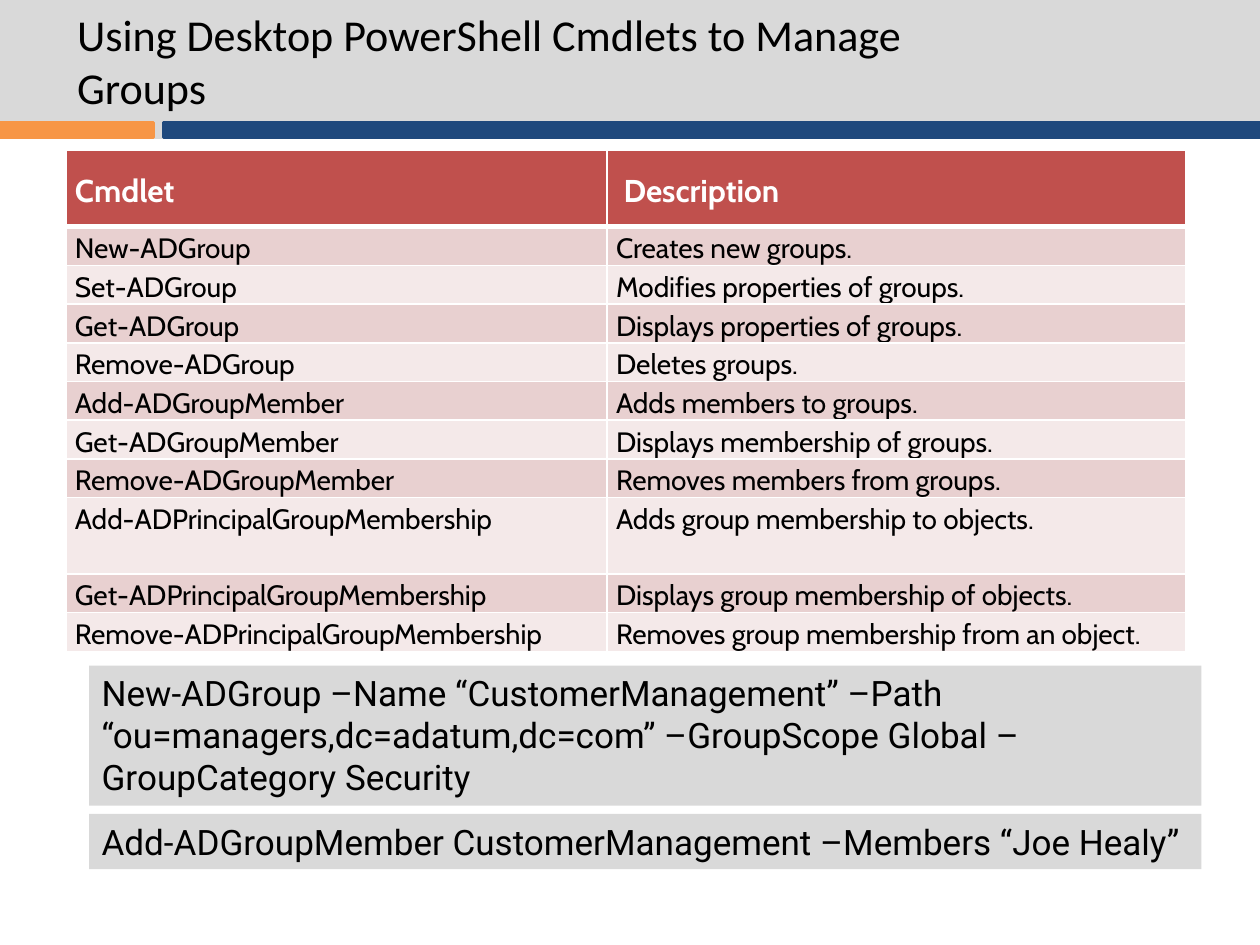
from lxml import etree
from pptx import Presentation
from pptx.dml.color import RGBColor
from pptx.enum.shapes import MSO_SHAPE
from pptx.enum.text import MSO_ANCHOR, MSO_AUTO_SIZE, PP_ALIGN
from pptx.oxml.ns import qn
from pptx.util import Cm, Pt

RECT = MSO_SHAPE.RECTANGLE
TOP, MIDDLE = MSO_ANCHOR.TOP, MSO_ANCHOR.MIDDLE
GROW, FIXED = MSO_AUTO_SIZE.SHAPE_TO_FIT_TEXT, MSO_AUTO_SIZE.NONE
LEFT = PP_ALIGN.LEFT

BLACK = RGBColor(0x00, 0x00, 0x00)
WHITE = RGBColor(0xFF, 0xFF, 0xFF)
GREY = RGBColor(0xD9, 0xD9, 0xD9)
ORANGE = RGBColor(0xF7, 0x96, 0x46)
NAVY = RGBColor(0x1F, 0x49, 0x7D)
RED = RGBColor(0xC0, 0x50, 0x4D)
ROSE = RGBColor(0xE8, 0xD0, 0xD0)
PALE = RGBColor(0xF4, 0xE9, 0xE9)

TITLE = "Using Desktop PowerShell Cmdlets to Manage Groups"
HEAD = ("Cmdlet", "Description")
CMDLETS = [
    ("New-ADGroup", "Creates new groups."),
    ("Set-ADGroup", "Modifies properties of groups."),
    ("Get-ADGroup", "Displays properties of groups."),
    ("Remove-ADGroup", "Deletes groups."),
    ("Add-ADGroupMember", "Adds members to groups."),
    ("Get-ADGroupMember", "Displays membership of groups."),
    ("Remove-ADGroupMember", "Removes members from groups."),
    ("Add-ADPrincipalGroupMembership", "Adds group membership to objects."),
    ("Get-ADPrincipalGroupMembership", "Displays group membership of objects."),
    ("Remove-ADPrincipalGroupMembership",
     "Removes group membership from an object."),
]
TALL_ROWS = (0, 8)
CREATE = ("New-ADGroup –Name “CustomerManagement” –Path "
          "“ou=managers,dc=adatum,dc=com” –GroupScope Global "
          "–GroupCategory Security")
ADD = "Add-ADGroupMember CustomerManagement –Members “Joe Healy”"


def set_font(par, name, size, color, bold=False):
    for run in par.runs:
        font = run.font
        font.name, font.size, font.bold = name, Pt(size), bold
        font.color.rgb = color


def add_rect(slide, x, y, w, h, fill, edge=False):
    rect = slide.shapes.add_shape(RECT, Cm(x), Cm(y), Cm(w), Cm(h))
    rect.shadow.inherit = False
    rect.fill.solid()
    rect.fill.fore_color.rgb = fill
    if edge:
        rect.line.color.rgb = fill
        rect.line.width = Pt(2)
    else:
        rect.line.fill.background()
    return rect


def add_header(slide, x, y, w, h):
    # Grey band with the two-colour strip along its lower edge
    strip, short, gap = 0.3, 3.1, 0.2
    low = y + h - strip
    start = short + gap
    add_rect(slide, x, y, w, h, GREY, True)
    add_rect(slide, x, low, short, strip, ORANGE, True)
    add_rect(slide, x + start, low, w - start, strip, NAVY, True)

    # Title, brought in front of the band
    title = slide.shapes.title
    title.left, title.top = Cm(x + 1.3), Cm(y + 0.1)
    title.width, title.height = Cm(18), Cm(2.24)
    frame = title.text_frame
    frame.text = TITLE
    frame.word_wrap = True
    frame.auto_size = FIXED
    frame.vertical_anchor = MIDDLE
    par = frame.paragraphs[0]
    par.alignment = LEFT
    set_font(par, "Calibri", 25.2, BLACK)
    slide.shapes._spTree.append(title._element)


def set_edges(cell, low):
    # Cell borders come before the fill in the cell's properties
    props = cell._tc.get_or_add_tcPr()
    widths = (("L", 1), ("R", 1), ("T", 1), ("B", low))
    for i, (side, width) in enumerate(widths):
        edge = etree.Element(qn("a:ln" + side), w=str(Pt(width)))
        fill = etree.SubElement(edge, qn("a:solidFill"))
        etree.SubElement(fill, qn("a:srgbClr"), val=str(WHITE))
        props.insert(i, edge)


def add_cmdlets(slide, x, y, widths, row, tall):
    rows = [HEAD] + CMDLETS
    heights = [tall if r in TALL_ROWS else row for r in range(len(rows))]
    table = slide.shapes.add_table(
        len(rows), len(widths), Cm(x), Cm(y),
        Cm(sum(widths)), Cm(sum(heights))).table
    for col, width in zip(table.columns, widths):
        col.width = Cm(width)
    for r, texts in enumerate(rows):
        table.rows[r].height = Cm(heights[r])
        head = r == 0
        for c, text in enumerate(texts):
            cell = table.cell(r, c)
            cell.text = text
            cell.margin_left = Cm(0.33 if head and c else 0.18)
            cell.margin_right = Cm(0.18)
            cell.margin_top = cell.margin_bottom = 0
            cell.vertical_anchor = MIDDLE if head else TOP
            cell.fill.solid()
            cell.fill.fore_color.rgb = RED if head else ROSE if r % 2 else PALE
            set_edges(cell, 3 if head else 1)
            par = cell.text_frame.paragraphs[0]
            par.line_spacing = 1.15
            if head:
                set_font(par, "Cabin", 18, WHITE, True)
            else:
                set_font(par, "Cabin", 16, BLACK)


def add_code(slide, x, y, w, h, text):
    box = add_rect(slide, x, y, w, h, GREY)
    frame = box.text_frame
    frame.text = text
    frame.word_wrap = True
    frame.auto_size = GROW
    frame.vertical_anchor = TOP
    par = frame.paragraphs[0]
    par.alignment = LEFT
    set_font(par, "Roboto", 20, BLACK)


def main():
    deck = Presentation()
    deck.slide_width, deck.slide_height = Cm(25.4), Cm(19.05)
    slide = deck.slides.add_slide(deck.slide_layouts[5])
    add_header(slide, 0, 0, 25.4, 2.77)
    add_code(slide, 1.8, 13.42, 22.42, 2.82, CREATE)
    add_code(slide, 1.8, 16.41, 22.42, 1.11, ADD)
    add_cmdlets(slide, 1.33, 3.03, (10.91, 11.67), 0.78, 1.54)
    deck.save("out.pptx")


if __name__ == "__main__":
    main()
